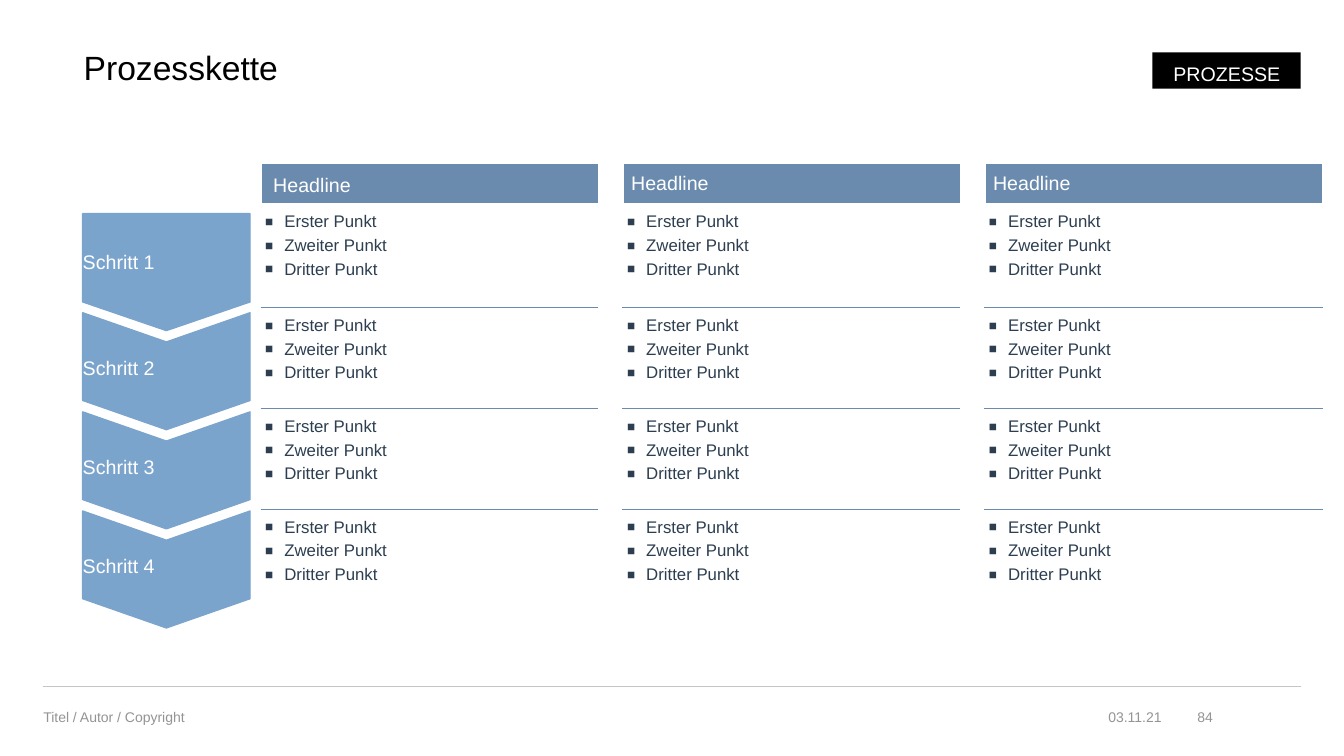
"""Build the process chain slide."""
from dataclasses import dataclass

from lxml.etree import SubElement
from pptx import Presentation
from pptx.dml.color import RGBColor
from pptx.enum.shapes import MSO_CONNECTOR, MSO_SHAPE
from pptx.enum.text import MSO_ANCHOR, MSO_AUTO_SIZE, PP_ALIGN
from pptx.oxml.ns import qn
from pptx.shapes.autoshape import Shape
from pptx.slide import Slide
from pptx.table import _Cell
from pptx.text.text import TextFrame
from pptx.util import Inches, Pt


@dataclass(frozen=True)
class Theme:
    """Colours and type sizes of the slide."""
    font: str = "Arial"
    black: str = "000000"
    white: str = "FFFFFF"
    ink: str = "2C3E50"
    head: str = "6A8BAD"
    step: str = "7BA4CC"
    rule: str = "C5C5C5"
    grey: str = "949494"
    title: int = 24
    label: int = 14
    body: int = 12
    foot: int = 10


@dataclass(frozen=True)
class Note:
    """A footer text and its place."""
    text: str
    left: float
    width: float
    align: PP_ALIGN


@dataclass(frozen=True)
class Step:
    """A link of the chain."""
    text: str
    kind: MSO_SHAPE
    notch: float


@dataclass(frozen=True)
class Head:
    """A column heading with its cell margins."""
    text: str
    pad: tuple[float, float, float, float]


THEME = Theme()
NOTES = (
    Note("03.11.21", 10.77, 0.75, PP_ALIGN.RIGHT),
    Note("Titel / Autor / Copyright", 0.43, 6.07, PP_ALIGN.LEFT),
    Note("84", 11.72, 0.31, PP_ALIGN.RIGHT),
)
STEPS = (
    Step("Schritt 1", MSO_SHAPE.PENTAGON, 0.245),
    *(Step(f"Schritt {n}", MSO_SHAPE.CHEVRON, 0.25) for n in (2, 3, 4)),
)
HEADS = (
    Head("Headline", (0.12, 0.04, 0.04, 0)),
    Head("Headline", (0.08, 0, 0, 0)),
    Head("Headline", (0.08, 0, 0, 0)),
)
POINTS = ("Erster Punkt", "Zweiter Punkt", "Dritter Punkt")
ROWS = (0.39, 1.03, 1, 1, 1.16)
COLS = (3.35, 0.12, 3.35, 0.12, 3.35)


def paint(color: str) -> RGBColor:
    """Turn a hex string into a colour."""
    return RGBColor.from_string(color)


def style(frame: TextFrame, size: int, color: str) -> None:
    """Format every run of a frame."""
    for para in frame.paragraphs:
        for run in para.runs:
            run.font.name = THEME.font
            run.font.size = Pt(size)
            run.font.bold = False
            run.font.color.rgb = paint(color)


def inset(box: TextFrame | _Cell, pad: tuple[float, float, float, float]) -> None:
    """Set left, top, right and bottom margins."""
    box.margin_left, box.margin_top, box.margin_right, box.margin_bottom = map(Inches, pad)


def add_title(slide: Slide) -> None:
    """Fill the title placeholder."""
    title = slide.shapes.title
    title.left, title.top = Inches(0.83), Inches(0.51)
    title.width, title.height = Inches(12.07), Inches(0.36)
    frame = title.text_frame
    frame.text = "Prozesskette"
    frame.vertical_anchor = MSO_ANCHOR.TOP
    frame.auto_size = MSO_AUTO_SIZE.SHAPE_TO_FIT_TEXT
    inset(frame, (0, 0, 0, 0))
    para = frame.paragraphs[0]
    para.alignment, para.line_spacing = PP_ALIGN.LEFT, 0.9
    style(frame, THEME.title, THEME.black)


def add_rule(slide: Slide) -> None:
    """Draw the line above the footer."""
    line = slide.shapes.add_connector(
        MSO_CONNECTOR.STRAIGHT, Inches(0.43), Inches(6.81), Inches(12.9), Inches(6.81))
    line.line.color.rgb = paint(THEME.rule)
    line.line.width = Pt(0.5)
    SubElement(line._element.spPr, qn("a:effectLst"))


def add_note(slide: Slide, note: Note) -> None:
    """Write one footer text."""
    box = slide.shapes.add_textbox(
        Inches(note.left), Inches(6.92), Inches(note.width), Inches(0.39))
    frame = box.text_frame
    frame.text = note.text
    frame.word_wrap = True
    frame.vertical_anchor = MSO_ANCHOR.MIDDLE
    inset(frame, (0, 0, 0, 0))
    frame.paragraphs[0].alignment = note.align
    style(frame, THEME.foot, THEME.grey)


def add_edge(cell: _Cell, side: str) -> None:
    """Draw one border of a cell."""
    edge = SubElement(cell._tc.get_or_add_tcPr(), qn(f"a:{side}"), w=str(Pt(0.75)))
    fill = SubElement(edge, qn("a:solidFill"))
    SubElement(fill, qn("a:srgbClr"), val=THEME.head)


def fill_head(cell: _Cell, head: Head) -> None:
    """Write a column heading."""
    cell.text_frame.text = head.text
    cell.vertical_anchor = MSO_ANCHOR.MIDDLE
    inset(cell, head.pad)
    cell.fill.solid()
    cell.fill.fore_color.rgb = paint(THEME.head)
    style(cell.text_frame, THEME.label, THEME.white)


def fill_list(cell: _Cell, row: int) -> None:
    """Write a bullet list with rules between rows."""
    frame = cell.text_frame
    frame.text = "\n".join(POINTS)
    inset(cell, (0.04, 0.08, 0.04, 0.04))
    for para in frame.paragraphs:
        props = para._p.get_or_add_pPr()
        props.set("marL", str(Inches(0.19)))
        props.set("indent", str(-Inches(0.19)))
        tint = SubElement(props, qn("a:buClr"))
        SubElement(tint, qn("a:srgbClr"), val=THEME.ink)
        SubElement(props, qn("a:buSzPct"), val="80000")
        SubElement(props, qn("a:buFont"), typeface=THEME.font)
        SubElement(props, qn("a:buChar"), char="■")
        para.line_spacing, para.space_after = 1.04, Pt(3)
    style(frame, THEME.body, THEME.ink)
    if row > 1:
        add_edge(cell, "lnT")
    if row < len(ROWS) - 1:
        add_edge(cell, "lnB")
    cell.fill.background()


def add_grid(slide: Slide) -> None:
    """Build the table of headings and lists."""
    grid = slide.shapes.add_table(
        len(ROWS), len(COLS), Inches(2.59), Inches(1.62),
        Inches(sum(COLS)), Inches(sum(ROWS))).table
    grid.first_row = grid.horz_banding = False
    for col, width in zip(grid.columns, COLS):
        col.width = Inches(width)
    for row, tall in enumerate(ROWS):
        grid.rows[row].height = Inches(tall)
        for col in range(len(COLS)):
            cell = grid.cell(row, col)
            if col % 2:
                cell.fill.background()
            elif row:
                fill_list(cell, row)
            else:
                fill_head(cell, HEADS[col // 2])


def add_block(slide: Slide, kind: MSO_SHAPE, area: tuple[float, float, float, float],
              text: str, color: str) -> Shape:
    """Draw a filled shape with a white label."""
    block = slide.shapes.add_shape(kind, *map(Inches, area))
    block.shadow.inherit = False
    block.fill.solid()
    block.fill.fore_color.rgb = paint(color)
    block.line.fill.background()
    block.text_frame.text = text
    style(block.text_frame, THEME.label, THEME.white)
    return block


def add_step(slide: Slide, step: Step, rank: int) -> None:
    """Draw one link of the chain pointing down."""
    area = (1.07, 1.87 + rank * 2.95 / 3, 1.16, 1.66)
    block = add_block(slide, step.kind, area, step.text, THEME.step)
    block.rotation = 90
    block.adjustments[0] = step.notch
    block.line.color.rgb = paint(THEME.step)
    block.line.width = Pt(1)
    frame = block.text_frame
    frame.vertical_anchor = MSO_ANCHOR.MIDDLE
    inset(frame, (0, 0, 0.08, 0))
    frame._txBody.bodyPr.set("vert", "vert270")
    para = frame.paragraphs[0]
    para.alignment, para.line_spacing = PP_ALIGN.LEFT, 1.04


def add_tag(slide: Slide) -> None:
    """Draw the topic tag at the top right."""
    tag = add_block(slide, MSO_SHAPE.RECTANGLE, (11.43, 0.52, 1.47, 0.36),
                    "PROZESSE", THEME.black)
    frame = tag.text_frame
    frame.word_wrap = False
    frame.auto_size = MSO_AUTO_SIZE.SHAPE_TO_FIT_TEXT
    frame.vertical_anchor = MSO_ANCHOR.TOP
    inset(frame, (0.2, 0.05, 0.2, 0.05))
    para = frame.paragraphs[0]
    para.alignment, para.line_spacing = PP_ALIGN.RIGHT, 1.2


def main() -> None:
    """Build and save the deck."""
    deck = Presentation()
    deck.slide_width, deck.slide_height = Inches(13.33), Inches(7.5)
    slide = deck.slides.add_slide(deck.slide_layouts[5])
    add_rule(slide)
    add_title(slide)
    for note in NOTES:
        add_note(slide, note)
    add_grid(slide)
    for rank, step in enumerate(STEPS):
        add_step(slide, step, rank)
    add_tag(slide)
    deck.save("out.pptx")


if __name__ == "__main__":
    main()
